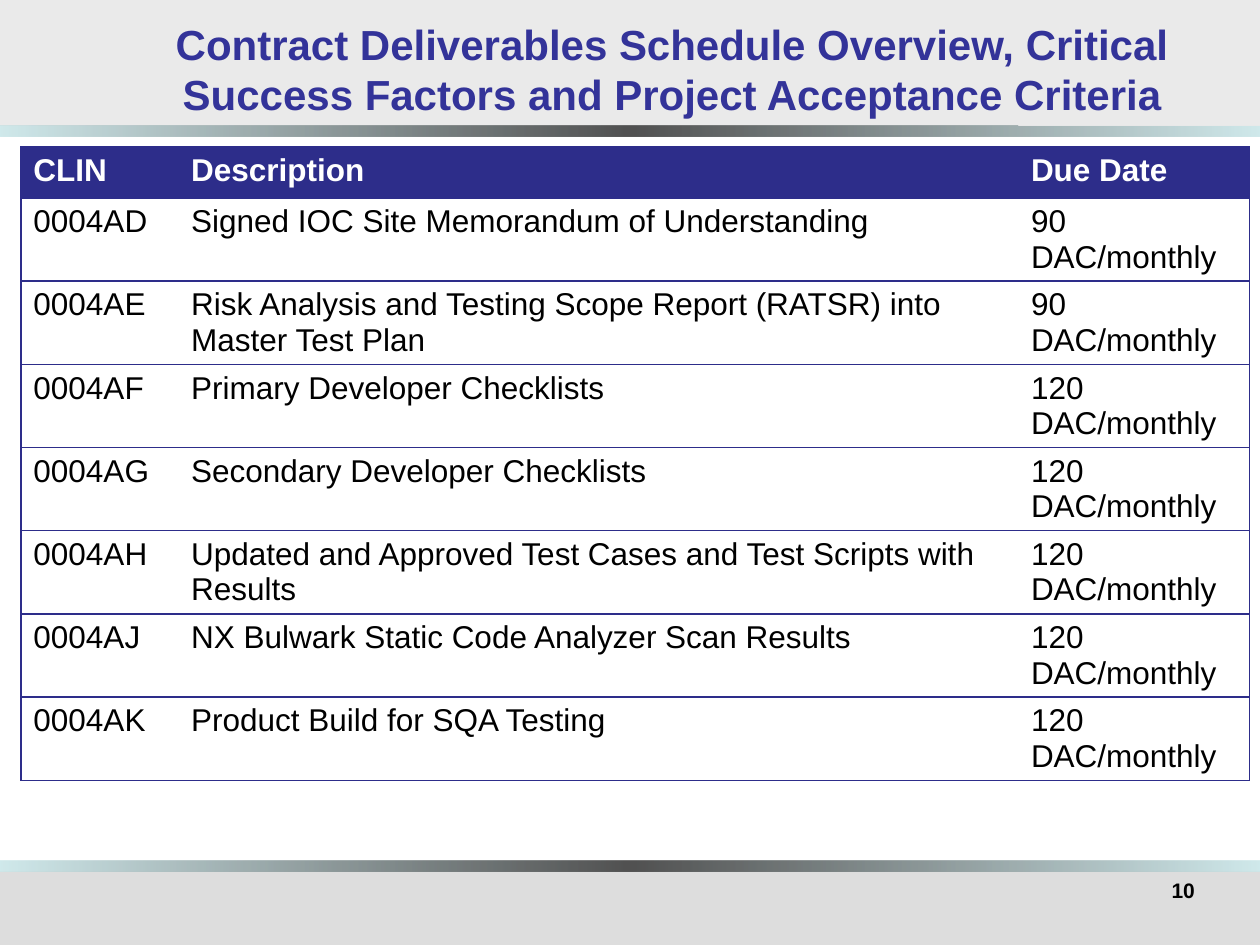
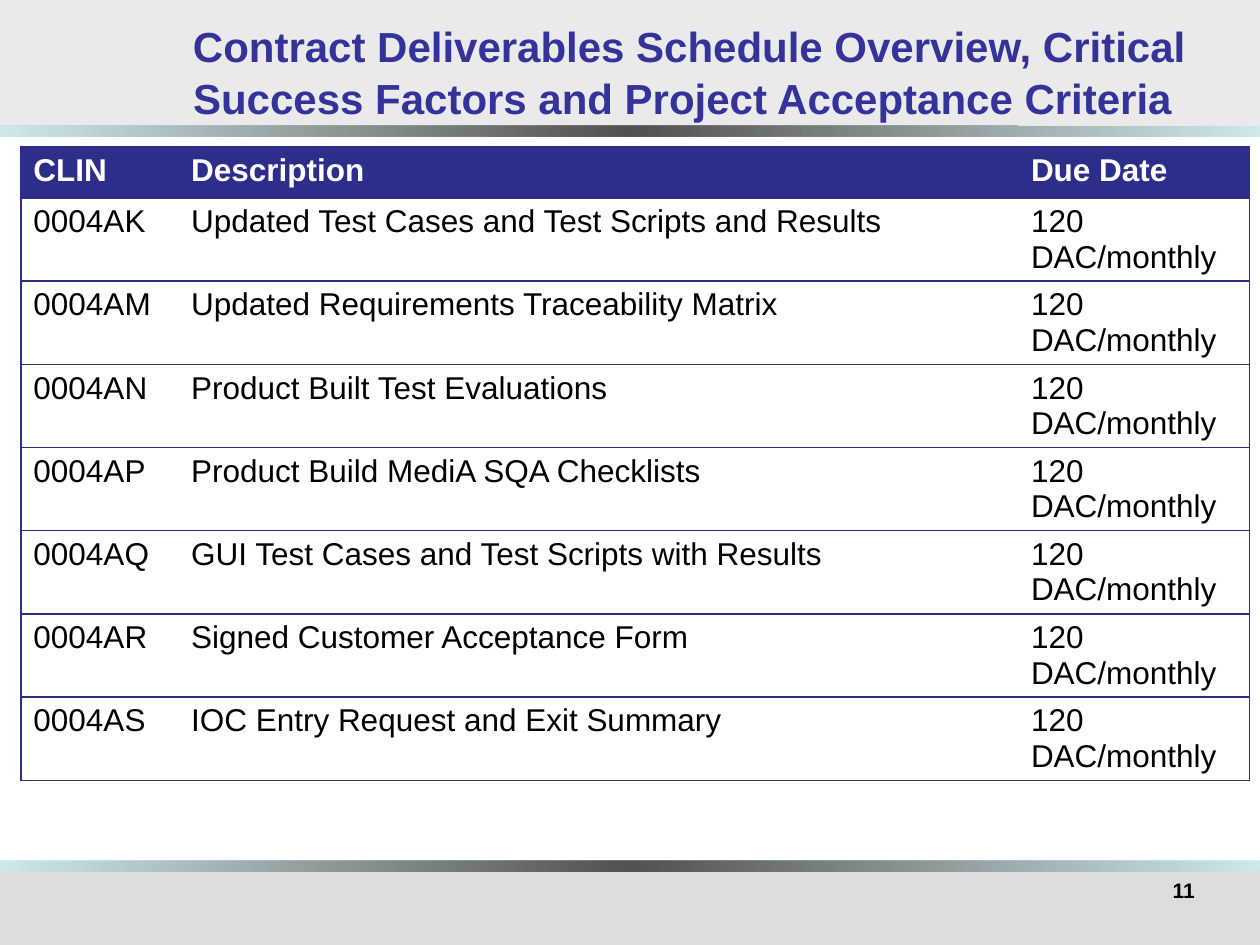
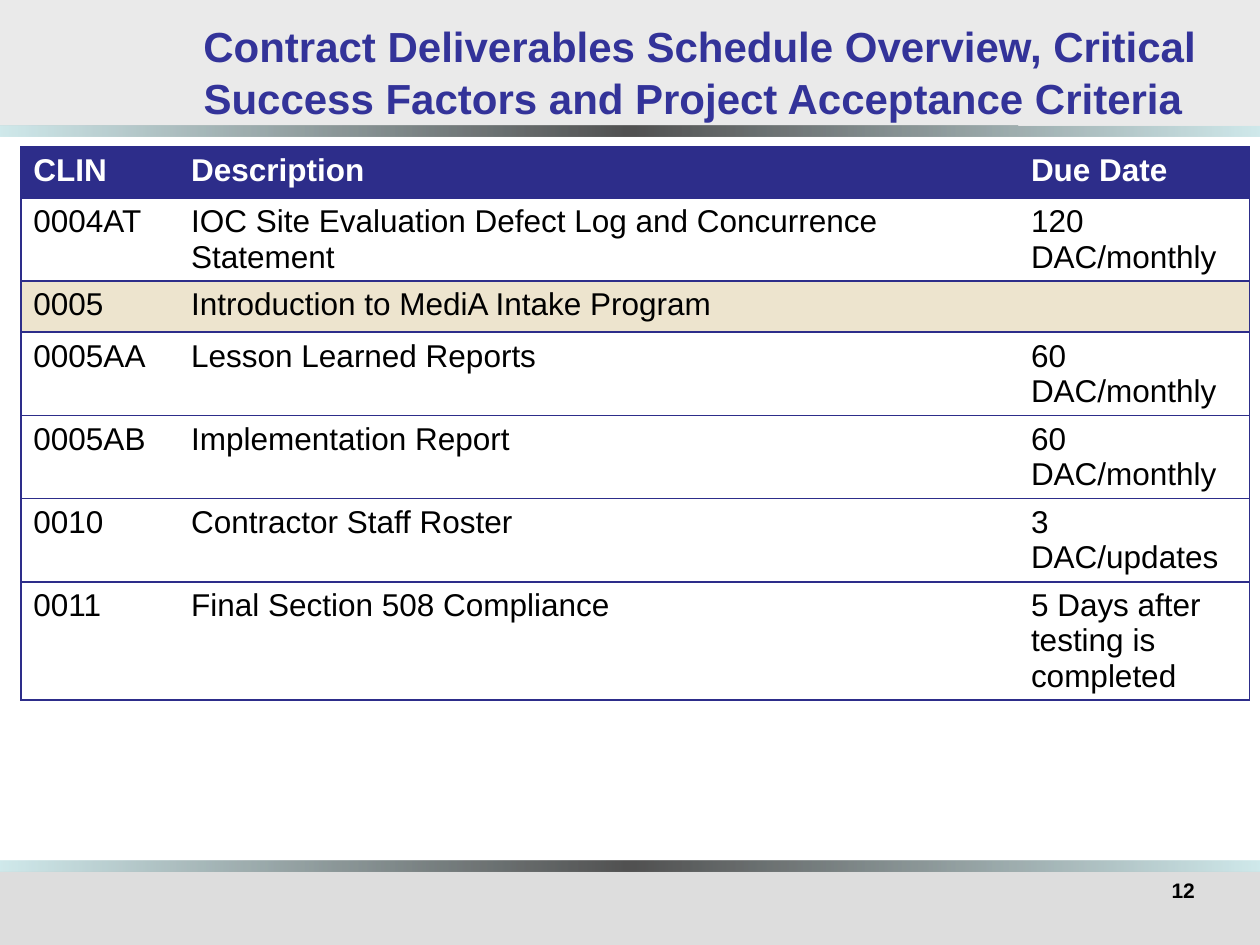
from dataclasses import dataclass

from lxml.etree import SubElement
from pptx import Presentation
from pptx.dml.color import RGBColor
from pptx.enum.shapes import MSO_SHAPE as Preset
from pptx.enum.text import MSO_ANCHOR as Anchor, MSO_AUTO_SIZE as AutoSize, PP_ALIGN as Align
from pptx.oxml.ns import qn
from pptx.util import Cm, Pt

# Content
TITLE = ("Contract Deliverables Schedule Overview, Critical "
         "Success Factors and Project Acceptance Criteria")
HEADER = ("CLIN", "Description", "Due Date")
DAC_60, DAC_90, DAC_120 = (f"{days} DAC/monthly" for days in (60, 90, 120))

# "lead" is the space that opens the title, "section" the row that names a group
SLIDES = [
    {"number": 10, "title_left": 1.91, "lead": "", "section": None, "rows": [
        ("0004AD", "Signed IOC Site Memorandum of Understanding", DAC_90),
        ("0004AE", "Risk Analysis and Testing Scope Report (RATSR) into Master Test Plan", DAC_90),
        ("0004AF", "Primary Developer Checklists", DAC_120),
        ("0004AG", "Secondary Developer Checklists", DAC_120),
        ("0004AH", "Updated and Approved Test Cases and Test Scripts with Results", DAC_120),
        ("0004AJ", "NX Bulwark Static Code Analyzer Scan Results", DAC_120),
        ("0004AK", "Product Build for SQA Testing", DAC_120),
    ]},
    {"number": 11, "title_left": 2.33, "lead": " ", "section": None, "rows": [
        ("0004AK", "Updated Test Cases and Test Scripts and Results", DAC_120),
        ("0004AM", "Updated Requirements Traceability Matrix", DAC_120),
        ("0004AN", "Product Built Test Evaluations", DAC_120),
        ("0004AP", "Product Build MediA SQA Checklists", DAC_120),
        ("0004AQ", "GUI Test Cases and Test Scripts with Results", DAC_120),
        ("0004AR", "Signed Customer Acceptance Form", DAC_120),
        ("0004AS", "IOC Entry Request and Exit Summary", DAC_120),
    ]},
    {"number": 12, "title_left": 2.75, "lead": " ", "section": "0005", "rows": [
        ("0004AT", "IOC Site Evaluation Defect Log and Concurrence Statement", DAC_120),
        ("0005", "Introduction to MediA Intake Program", ""),
        ("0005AA", "Lesson Learned Reports", DAC_60),
        ("0005AB", "Implementation Report", DAC_60),
        ("0010", "Contractor Staff Roster", "3 DAC/updates"),
        ("0011", "Final Section 508 Compliance", "5 Days after testing is completed"),
    ]},
]


@dataclass(frozen=True)
class Theme:
    font: str = "Arial"
    title: str = "333399"
    text: str = "000000"
    header_text: str = "FFFFFF"
    table: str = "2D2D8A"
    section: str = "EDE4CE"
    top_band: str = "EAEAEA"
    footer_band: str = "DDDDDD"
    stripe: tuple = ("BBE0E3", "000000", "BBE0E3")
    stripe_opacity: int = 68
    patch_opacity: int = 80
    lead_size: int = 28
    title_size: int = 24
    table_size: int = 18
    number_size: int = 12
    border: float = 1


THEME = Theme()

# Layout in centimetres
WIDTH, HEIGHT = 25.4, 19.05
TOP_HEIGHT, FOOTER_TOP, STRIPE_HEIGHT = 2.54, 17.57, 0.21
PATCH = (20.53, 0.64, 4.87, 1.9)
TITLE_TOP, TITLE_RIGHT, TITLE_HEIGHT = 0.64, 25.19, 1.48
NUMBER_BOX = (21.38, 17.57, 2.96, 0.42)
TABLE_LEFT, TABLE_TOP, ROW_HEIGHT = 0.42, 2.96, 1.03
COLUMN_WIDTHS = (3.18, 16.93, 4.66)


def add_color(parent, color, opacity=100):
    node = SubElement(parent, qn("a:srgbClr"), val=color)
    if opacity < 100:
        SubElement(node, qn("a:alpha"), val=str(opacity * 1000))


def write_text(frame, text, *, size, color=THEME.text, bold=False, align=Align.LEFT):
    """Add a run to the first paragraph of a text frame."""
    paragraph = frame.paragraphs[0]
    paragraph.alignment = align
    run = paragraph.add_run()
    run.text = text
    font = run.font
    font.name, font.size, font.bold = THEME.font, Pt(size), bold
    font.color.rgb = RGBColor.from_string(color)


def add_text_box(slide, box, anchor):
    frame = slide.shapes.add_textbox(*map(Cm, box)).text_frame
    frame.word_wrap, frame.auto_size, frame.vertical_anchor = True, AutoSize.NONE, anchor
    return frame


def add_band(slide, box, color, opacity=100):
    """Draw a borderless rectangle; a tuple of colours gives a gradient."""
    shape = slide.shapes.add_shape(Preset.RECTANGLE, *map(Cm, box))
    shape.shadow.inherit = False
    shape.line.fill.background()
    if isinstance(color, str):
        shape.fill.solid()
        shape.fill.fore_color.rgb = RGBColor.from_string(color)
        if opacity < 100:
            node = shape.fill._xPr.find(f".//{qn('a:srgbClr')}")
            SubElement(node, qn("a:alpha"), val=str(opacity * 1000))
        return
    gradient = SubElement(shape._element.spPr, qn("a:gradFill"), rotWithShape="1")
    stops = SubElement(gradient, qn("a:gsLst"))
    for index, stop_color in enumerate(color):
        position = 100000 * index // (len(color) - 1)
        add_color(SubElement(stops, qn("a:gs"), pos=str(position)), stop_color, opacity)
    SubElement(gradient, qn("a:lin"), ang="0", scaled="1")
    shape._element.spPr.find(qn("a:prstGeom")).addnext(gradient)


def add_frame(slide, number):
    """Bands, stripes and page number shared by every slide."""
    add_band(slide, (0, FOOTER_TOP, WIDTH, HEIGHT - FOOTER_TOP), THEME.footer_band)
    add_band(slide, (0, 0, WIDTH, TOP_HEIGHT), THEME.top_band)
    for top in (FOOTER_TOP - STRIPE_HEIGHT, TOP_HEIGHT):
        add_band(slide, (0, top, WIDTH, STRIPE_HEIGHT), THEME.stripe, THEME.stripe_opacity)
    for _ in range(2):
        add_band(slide, PATCH, THEME.top_band, THEME.patch_opacity)
    write_text(add_text_box(slide, NUMBER_BOX, Anchor.TOP), str(number),
               size=THEME.number_size, bold=True, align=Align.RIGHT)


def add_title(slide, left, lead):
    box = (left, TITLE_TOP, TITLE_RIGHT - left, TITLE_HEIGHT)
    frame = add_text_box(slide, box, Anchor.MIDDLE)
    for text, size in ((lead, THEME.lead_size), (TITLE, THEME.title_size)):
        if text:
            write_text(frame, text, size=size, color=THEME.title, bold=True, align=Align.CENTER)


def set_borders(cell, sides):
    properties = cell._tc.get_or_add_tcPr()
    for side in "LRTB":
        line = SubElement(properties, qn(f"a:ln{side}"), w=str(Pt(THEME.border)))
        if side in sides:
            add_color(SubElement(line, qn("a:solidFill")), THEME.table)
        else:
            SubElement(line, qn("a:noFill"))


def add_deliverables(slide, rows, section):
    rows = [HEADER, *rows]
    table = slide.shapes.add_table(
        len(rows), len(HEADER), Cm(TABLE_LEFT), Cm(TABLE_TOP),
        Cm(sum(COLUMN_WIDTHS)), Cm(ROW_HEIGHT * len(rows))).table
    table.horz_banding = False
    for column, width in zip(table.columns, COLUMN_WIDTHS):
        column.width = Cm(width)
    outer_sides = ("L", "", "R")
    for row_index, row in enumerate(rows):
        is_header = row_index == 0
        fill = THEME.table if is_header else THEME.section if row[0] == section else None
        color = THEME.header_text if is_header else THEME.text
        for column_index, text in enumerate(row):
            cell = table.cell(row_index, column_index)
            set_borders(cell, "TB" + outer_sides[column_index])
            if fill:
                cell.fill.solid()
                cell.fill.fore_color.rgb = RGBColor.from_string(fill)
            else:
                cell.fill.background()
            if text:
                write_text(cell.text_frame, text, size=THEME.table_size,
                           color=color, bold=is_header)


def main():
    presentation = Presentation()
    presentation.slide_width, presentation.slide_height = Cm(WIDTH), Cm(HEIGHT)
    blank = presentation.slide_layouts[6]
    for content in SLIDES:
        slide = presentation.slides.add_slide(blank)
        add_frame(slide, content["number"])
        add_title(slide, content["title_left"], content["lead"])
        add_deliverables(slide, content["rows"], content["section"])
    presentation.save("out.pptx")


if __name__ == "__main__":
    main()
